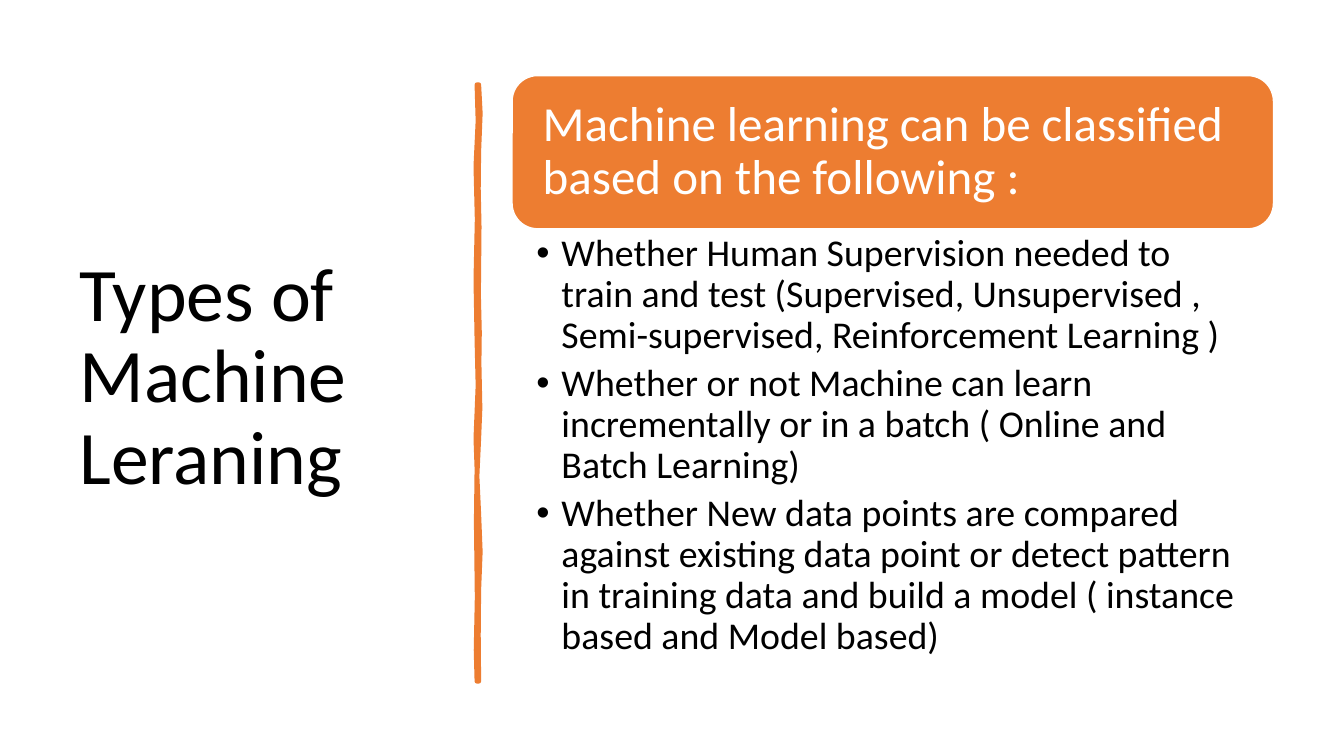
"""Build the slide on the types of machine learning."""
from lxml.etree import SubElement
from pptx import Presentation
from pptx.dml.color import RGBColor
from pptx.enum.shapes import MSO_SHAPE
from pptx.enum.text import MSO_ANCHOR, PP_ALIGN
from pptx.oxml.ns import qn
from pptx.util import Inches, Pt

ORANGE, WHITE, BLACK = "ED7D31", "FFFFFF", "000000"

presentation = Presentation()
presentation.slide_width, presentation.slide_height = Inches(13.33), Inches(7.5)
column, row = presentation.slide_width / 100, presentation.slide_height / 100
slide = presentation.slides.add_slide(presentation.slide_layouts[6])


def paint(color_format, color):
    """Apply a hex colour to a fill, line or font colour."""
    color_format.rgb = RGBColor.from_string(color)


def write(shape, lines, size, color, insets, anchor, space_after=0):
    """Fill a shape with left-aligned paragraphs."""
    frame = shape.text_frame
    frame.word_wrap = True
    frame.vertical_anchor = anchor
    frame.margin_left, frame.margin_top, frame.margin_right, frame.margin_bottom = map(Inches, insets)
    frame.text = "\n".join(lines)
    for paragraph in frame.paragraphs:
        paragraph.alignment = PP_ALIGN.LEFT
        paragraph.line_spacing = 0.9
        paragraph.space_after = Pt(space_after)
        for run in paragraph.runs:
            run.font.name, run.font.size = "Calibri", Pt(size)
            paint(run.font.color, color)


title = slide.shapes.add_textbox(*map(int, (5.18 * column, 9.33 * row, 28.06 * column, 81.47 * row)))
write(title, ["Types of Machine Leraning"], 54, BLACK, (0.1, 0.05, 0.1, 0.05), MSO_ANCHOR.MIDDLE)

right_edge = [(35.63, 11.2), (35.74, 15), (35.63, 20), (35.6, 25), (35.66, 30), (35.61, 39),
              (35.68, 44), (35.65, 48), (35.72, 54), (35.63, 58), (35.5, 63), (35.63, 68),
              (35.74, 73), (35.63, 78), (35.6, 84), (35.63, 90.13)]
left_edge = [(35.48, 90.13), (35.42, 86), (35.5, 79), (35.43, 69), (35.48, 62), (35.4, 58),
             (35.56, 51), (35.48, 45), (35.4, 37), (35.5, 29), (35.4, 22), (35.56, 16), (35.48, 11.2)]
points = [(x * column, y * row) for x, y in right_edge + left_edge]
builder = slide.shapes.build_freeform(*points[0], scale=1.0)
builder.add_line_segments(points[1:], close=True)
divider = builder.convert_to_shape()

header = slide.shapes.add_shape(
    MSO_SHAPE.ROUNDED_RECTANGLE, *map(int, (38.1 * column, 10 * row, 56.65 * column, 20.27 * row)))
write(header, ["Machine learning can be classified based on the following :"],
      35, WHITE, (0.23, 0.15, 0.23, 0.15), MSO_ANCHOR.MIDDLE)

for shape, outline, weight in ((divider, ORANGE, 3.25), (header, WHITE, 1)):
    shape.shadow.inherit = False
    shape.fill.solid()
    paint(shape.fill.fore_color, ORANGE)
    paint(shape.line.color, outline)
    shape.line.width = Pt(weight)

criteria = slide.shapes.add_textbox(*map(int, (38.1 * column, 30.27 * row, 56.65 * column, 59.2 * row)))
write(criteria, [
    "Whether Human Supervision needed to train and test (Supervised, Unsupervised , "
    "Semi-supervised, Reinforcement Learning )",
    "Whether or not Machine can learn incrementally or in a batch ( Online and Batch Learning)",
    "Whether New data points are compared against existing data point or detect pattern "
    "in training data and build a model ( instance based and Model based)",
], 27, BLACK, (0.24, 0.05, 0.27, 0.05), MSO_ANCHOR.TOP, 5.4)
for paragraph in criteria.text_frame.paragraphs:
    properties = paragraph._p.get_or_add_pPr()
    properties.set("marL", str(Inches(0.25)))
    properties.set("indent", str(-Inches(0.25)))
    SubElement(properties, qn("a:buFont")).set("typeface", "Arial")
    SubElement(properties, qn("a:buChar")).set("char", "•")

presentation.save("out.pptx")
